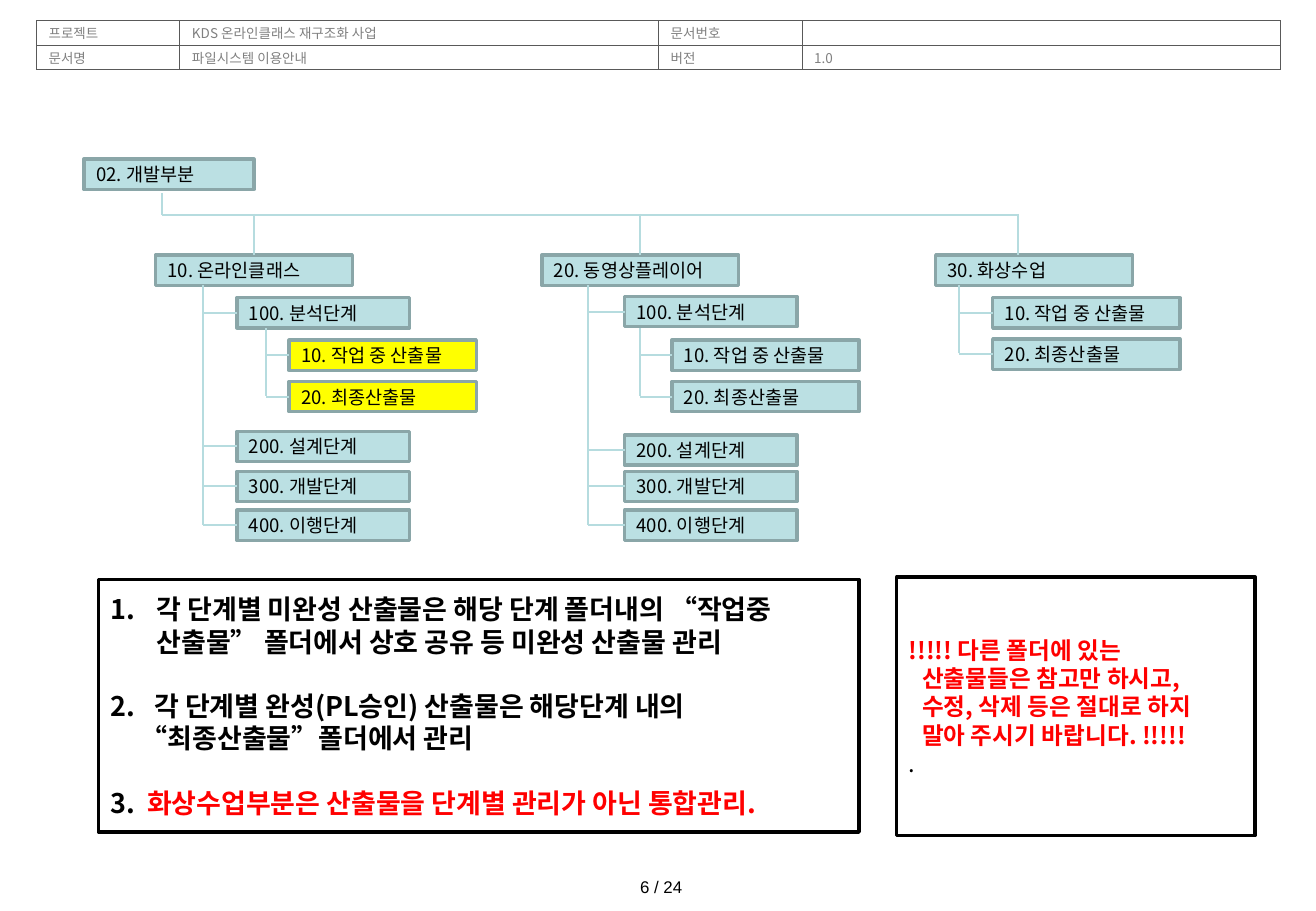
"""Build the file system guide slide with its folder tree and rules."""
from dataclasses import dataclass
from typing import Any, NamedTuple

from lxml import etree
from pptx import Presentation
from pptx import util as u
from pptx.dml.color import RGBColor
from pptx.enum import shapes, text
from pptx.oxml.ns import qn


@dataclass(frozen=True)
class Theme:
    face: str = "Noto Sans CJK KR"
    plain: str = "Arial"
    black: str = "000000"
    white: str = "FFFFFF"
    gray: str = "808080"
    rule: str = "595959"
    teal: str = "BBE0E3"
    edge: str = "8AA6A8"
    wire: str = "B6DCDF"
    mark: str = "FFFF00"
    alert: str = "FF0000"
    tiny: float = 8
    page: float = 10
    node: float = 11
    warn: float = 14
    note: float = 16


class Box(NamedTuple):
    left: float
    top: float
    width: float
    height: float = 0.25


class Line(NamedTuple):
    words: str
    size: float
    color: str = "000000"
    bold: bool = False
    left: float = 0
    hang: float = 0
    gap: float = 0
    num: int = 0


class Branch(NamedTuple):
    stem: float
    top: float
    left: float
    width: float
    names: tuple[str, ...]
    tops: tuple[float, ...]
    fill: str


T = Theme()
STAGES = ("100. 분석단계", "200. 설계단계", "300. 개발단계", "400. 이행단계")
GOODS = ("10. 작업 중 산출물", "20. 최종산출물")
PARTS = (
    ("10. 온라인클래스", 1.28, 2.09),
    ("20. 동영상플레이어", 4.46, 5.27),
    ("30. 화상수업", 7.7, 8.38),
)
TREE = (
    Branch(1.67, 2.35, 1.95, 1.42, STAGES, (2.45, 3.55, 3.88, 4.2), T.teal),
    Branch(4.84, 2.35, 5.14, 1.42, STAGES, (2.44, 3.58, 3.88, 4.2), T.teal),
    Branch(2.19, 2.7, 2.38, 1.54, GOODS, (2.8, 3.14), T.mark),
    Branch(5.27, 2.7, 5.53, 1.54, GOODS, (2.8, 3.14), T.teal),
    Branch(7.89, 2.35, 8.17, 1.54, GOODS, (2.45, 2.79), T.teal),
)
HEAD = (
    ("프로젝트", "KDS 온라인클래스 재구조화 사업", "문서번호", ""),
    ("문서명", "파일시스템 이용안내", "버전", "1.0"),
)
RULES = (
    Line("각 단계별 미완성 산출물은 해당 단계 폴더내의 “작업중 산출물” 폴더에서 상호 공유 등 미완성 산출물 관리",
         T.note, bold=True, left=0.38, hang=0.38, num=1),
    Line("각 단계별 완성(PL승인) 산출물은 해당단계 내의",
         T.note, bold=True, left=0.36, hang=0.36, gap=19, num=2),
    Line("“최종산출물”폴더에서 관리", T.note, bold=True, left=0.25),
    Line("화상수업부분은 산출물을 단계별 관리가 아닌 통합관리.",
         T.note, T.alert, True, 0.3, 0.3, 19, 3),
)
WARNS = (
    Line("!!!!! 다른 폴더에 있는", T.warn, T.alert, True),
    Line("산출물들은 참고만 하시고,", T.warn, T.alert, True, 0.11),
    Line("수정, 삭제 등은 절대로 하지", T.warn, T.alert, True, 0.11),
    Line("말아 주시기 바랍니다. !!!!!", T.warn, T.alert, True, 0.11),
    Line(".", T.warn),
)


def rgb(code: str) -> RGBColor:
    return RGBColor.from_string(code)


def add(host: Any, tag: str, **attrs: str) -> Any:
    return etree.SubElement(host, qn(tag), **attrs)


def write(frame: Any, lines: tuple[Line, ...], face: str = T.face) -> None:
    for i, line in enumerate(lines):
        par = frame.add_paragraph() if i else frame.paragraphs[0]
        par.alignment = text.PP_ALIGN.LEFT
        par.space_before = u.Pt(line.gap)
        props = par._p.get_or_add_pPr()
        props.set("marL", str(u.Inches(line.left)))
        props.set("indent", str(-u.Inches(line.hang)))
        if line.num:
            add(add(props, "a:buClr"), "a:srgbClr", val=T.black)
            add(props, "a:buFont", typeface=face)
            add(props, "a:buAutoNum", type="arabicPeriod", startAt=str(line.num))
        else:
            add(props, "a:buNone")
        if not line.words:
            add(par._p, "a:endParaRPr", sz=str(int(line.size * 100)))
            continue
        run = par.add_run()
        run.text = line.words
        run.font.size = u.Pt(line.size)
        run.font.bold = line.bold
        run.font.color.rgb = rgb(line.color)
        run.font.name = face
        add(run.font._element, "a:ea", typeface=face)


def dress(shape: Any, box: Box, lines: tuple[Line, ...], fill: str, edge: str) -> None:
    shape.left, shape.top, shape.width, shape.height = map(u.Inches, box)
    shape.fill.solid()
    shape.fill.fore_color.rgb = rgb(fill)
    shape.line.color.rgb = rgb(edge)
    shape.line.width = u.Pt(2)
    frame = shape.text_frame
    frame.word_wrap = True
    frame.auto_size = text.MSO_AUTO_SIZE.NONE
    frame.vertical_anchor = text.MSO_ANCHOR.MIDDLE
    write(frame, lines)


def rect(slide: Any, box: Box, lines: tuple[Line, ...], fill: str, edge: str) -> Any:
    shape = slide.shapes.add_shape(shapes.MSO_SHAPE.RECTANGLE, *map(u.Inches, box))
    shape.shadow.inherit = False
    dress(shape, box, lines, fill, edge)
    return shape


def wire(slide: Any, x: float, y: float, to_x: float, to_y: float) -> Any:
    link = slide.shapes.add_connector(
        shapes.MSO_CONNECTOR.STRAIGHT, *map(u.Inches, (x, y, to_x, to_y)))
    link.line.color.rgb = rgb(T.wire)
    link.line.width = u.Pt(1.25)
    add(link._element.spPr, "a:effectLst")
    return link


def grow(slide: Any, limb: Branch) -> None:
    wire(slide, limb.stem, limb.top, limb.stem, limb.tops[-1] + 0.12)
    for name, top in zip(limb.names, limb.tops):
        leaf = rect(slide, Box(limb.left, top, limb.width),
                    (Line(name, T.node),), limb.fill, T.edge)
        mid = top + 0.125
        wire(slide, limb.stem, mid, limb.left, mid).end_connect(leaf, 1)


def header(slide: Any) -> None:
    grid = slide.shapes.add_table(
        2, 4, *map(u.Inches, (0.3, 0.17, 10.24, 0.35))).table
    grid.first_row = grid.horz_banding = False
    for col, width in zip(grid.columns, (1.18, 3.94) * 2):
        col.width = u.Inches(width)
    for r, row in enumerate(HEAD):
        for c, words in enumerate(row):
            cell = grid.cell(r, c)
            cell.margin_top = cell.margin_bottom = u.Inches(0.02)
            props = cell._tc.get_or_add_tcPr()
            for side in "LRTB":
                edge = add(props, f"a:ln{side}", w=str(u.Pt(0.5)))
                add(add(edge, "a:solidFill"), "a:srgbClr", val=T.rule)
            cell.fill.solid()
            cell.fill.fore_color.rgb = rgb(T.white)
            write(cell.text_frame, (Line(words, T.tiny, T.gray),))


def main() -> None:
    deck = Presentation()
    deck.slide_width, deck.slide_height = u.Inches(10.83), u.Inches(7.5)
    slide = deck.slides.add_slide(deck.slide_layouts[1])
    header(slide)
    dress(slide.shapes.title, Box(0.69, 1.31, 1.4),
          (Line("02. 개발부분", T.node),), T.teal, T.edge)
    wire(slide, 1.33, 1.59, 1.33, 1.77)
    wire(slide, 1.33, 1.77, 8.38, 1.77)
    for name, left, drop in PARTS:
        part = rect(slide, Box(left, 2.1, 1.62), (Line(name, T.node),), T.teal, T.edge)
        link = wire(slide, drop, 1.76, drop, 2.1)
        if abs(left + 0.81 - drop) < 0.01:
            link.end_connect(part, 0)
    for limb in TREE:
        grow(slide, limb)
    dress(slide.placeholders[1], Box(0.81, 4.77, 6.26, 2.08), RULES, T.white, T.black)
    rect(slide, Box(7.38, 4.75, 2.95, 2.13), WARNS, T.white, T.black)
    page = slide.shapes.add_textbox(*map(u.Inches, (5.17, 7.17, 0.64, 0.27)))
    write(page.text_frame, (Line("6 / 24", T.page),), T.plain)
    deck.save("out.pptx")


if __name__ == "__main__":
    main()
